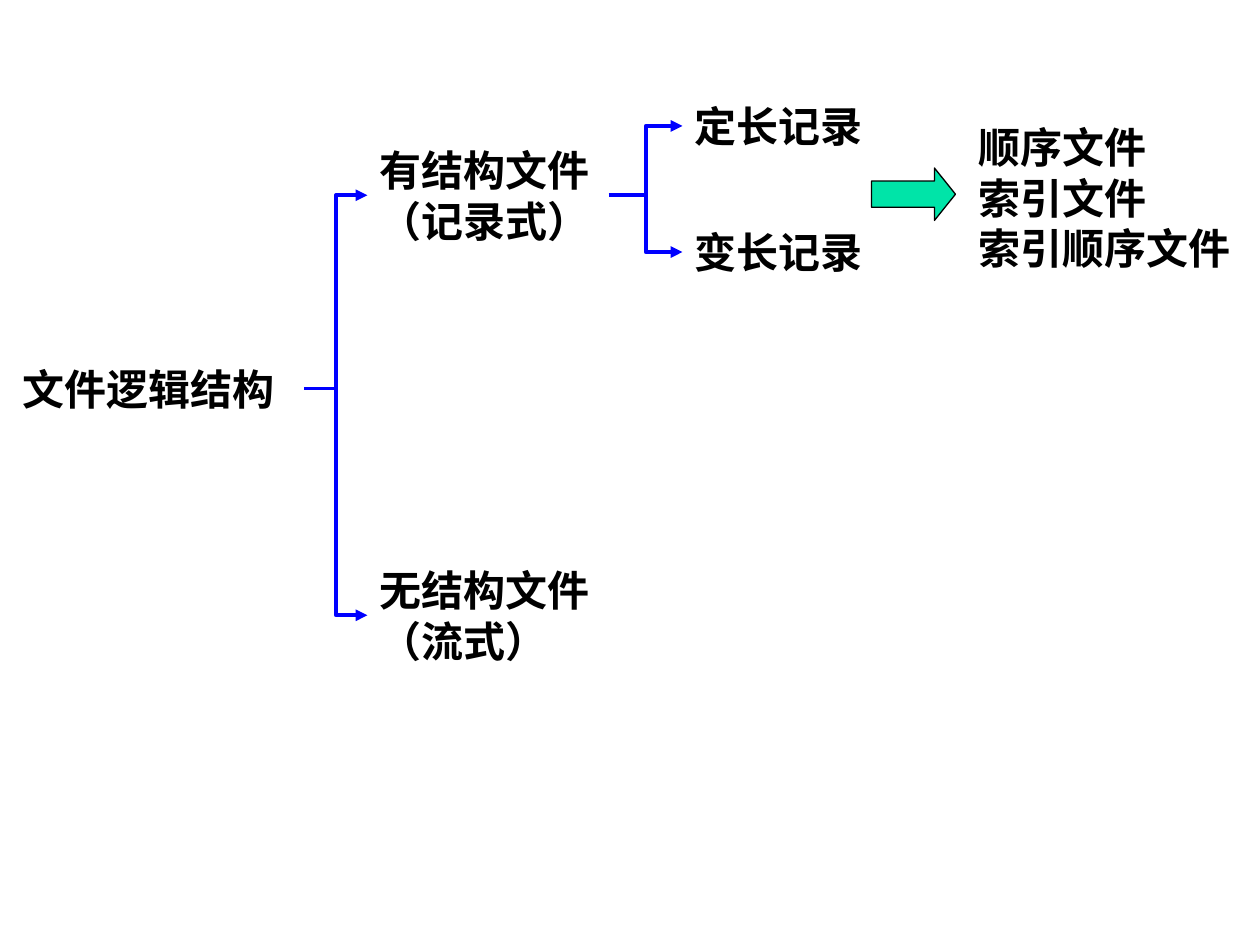
from pptx import Presentation
from pptx.dml.color import RGBColor
from pptx.enum.shapes import MSO_CONNECTOR, MSO_SHAPE
from pptx.enum.text import MSO_AUTO_SIZE
from pptx.oxml.ns import qn
from pptx.util import Inches, Pt
from lxml.etree import SubElement

COLUMNS, ROWS = 120, 90
LEFT_SITE, RIGHT_SITE = 1, 3
COLOURS = {"text": "000000", "branch": "0000FF", "arrow": "00E4A8", "outline": "000000"}


def colour(name):
    return RGBColor.from_string(COLOURS[name])


class TreeSlide:
    font = {"name": "Cabin", "size": Pt(24), "bold": True}
    frame = {"word_wrap": True, "auto_size": MSO_AUTO_SIZE.SHAPE_TO_FIT_TEXT}
    padding_rows, line_rows = 1.2, 4.8

    def __init__(self, deck):
        self.deck = deck
        self.page = deck.slides.add_slide(deck.slide_layouts[6])

    def place(self, column, row, columns, rows):
        """Turn grid units into left, top, width and height."""
        across = self.deck.slide_width / COLUMNS
        down = self.deck.slide_height / ROWS
        return [round(v) for v in (column * across, row * down, columns * across, rows * down)]

    def label(self, column, row, columns, *lines):
        rows = self.padding_rows + self.line_rows * len(lines)
        box = self.page.shapes.add_textbox(*self.place(column, row, columns, rows))
        for key, value in self.frame.items():
            setattr(box.text_frame, key, value)
        box.text_frame.text = "\n".join(lines)
        for para in box.text_frame.paragraphs:
            for span in para.runs:
                for key, value in self.font.items():
                    setattr(span.font, key, value)
                span.font.color.rgb = colour("text")
        return box

    def branch(self, parent, *children):
        """Join the right side of a label to the left side of each child."""
        for child in children:
            line = self.page.shapes.add_connector(
                MSO_CONNECTOR.ELBOW,
                parent.left + parent.width, parent.top + parent.height // 2,
                child.left, child.top + child.height // 2)
            line.begin_connect(parent, RIGHT_SITE)
            line.end_connect(child, LEFT_SITE)
            line.line.color.rgb = colour("branch")
            line.line.width = Pt(2.25)
            properties = line._element.spPr
            SubElement(properties.find(qn("a:ln")), qn("a:tailEnd"), type="triangle")
            SubElement(properties, qn("a:effectLst"))

    def block_arrow(self, column, row, columns, rows):
        arrow = self.page.shapes.add_shape(
            MSO_SHAPE.RIGHT_ARROW, *self.place(column, row, columns, rows))
        arrow.adjustments[0], arrow.adjustments[1] = 0.5, 0.4
        arrow.shadow.inherit = False
        arrow.fill.solid()
        arrow.fill.fore_color.rgb = colour("arrow")
        arrow.line.color.rgb = colour("outline")
        arrow.line.width = Pt(0.75)


def main():
    deck = Presentation()
    deck.slide_width, deck.slide_height = Inches(10), Inches(7.5)
    tree = TreeSlide(deck)

    root = tree.label(1, 34, 28, "文件逻辑结构")
    structured = tree.label(35, 13.2, 23, "有结构文件", "（记录式）")
    unstructured = tree.label(35, 53.2, 28, "无结构文件", "（流式）")
    fixed = tree.label(65, 9, 19, "定长记录")
    variable = tree.label(65, 21, 19, "变长记录")
    tree.label(92, 11, 28, "顺序文件", "索引文件", "索引顺序文件")

    tree.branch(root, structured, unstructured)
    tree.branch(structured, fixed, variable)
    tree.block_arrow(83, 16, 8, 5)
    deck.save("out.pptx")


if __name__ == "__main__":
    main()
